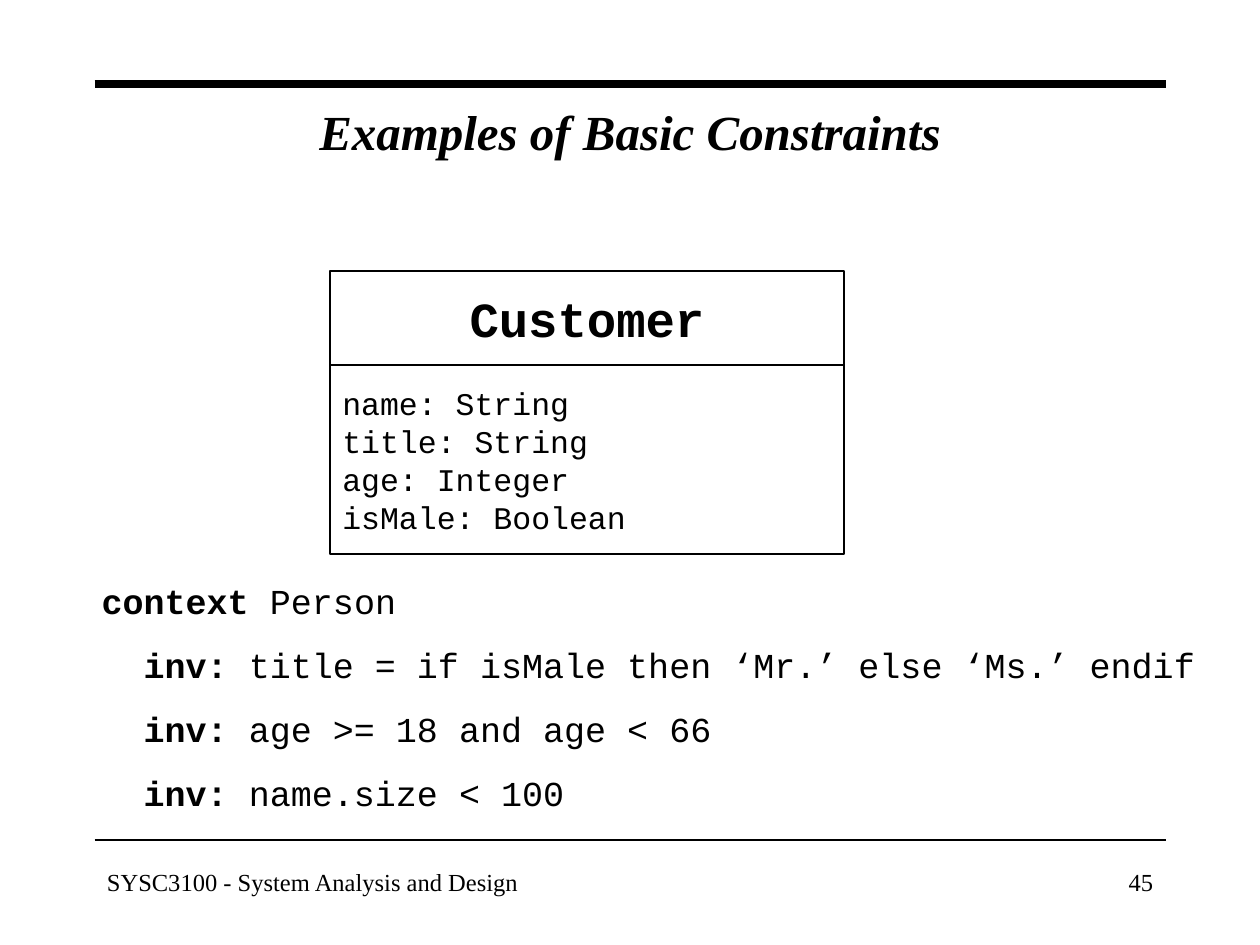
from lxml.etree import SubElement
from pptx import Presentation
from pptx.dml.color import RGBColor
from pptx.enum.shapes import MSO_CONNECTOR, MSO_SHAPE
from pptx.enum.text import MSO_ANCHOR as Anchor, MSO_AUTO_SIZE as AutoSize, PP_ALIGN as Align
from pptx.oxml.ns import qn
from pptx.util import Pt

BLACK = RGBColor(0, 0, 0)
SERIF, MONO = "Times New Roman", "Courier New"
TITLE = "Examples of Basic Constraints"
CLASS_NAME = "Customer"
ATTRIBUTES = ["name: String", "title: String", "age: Integer", "isMale: Boolean"]
CONTEXT = ("context", " Person")
INVARIANTS = [
    "title = if isMale then ‘Mr.’ else ‘Ms.’ endif",
    "age >= 18 and age < 66",
    "name.size < 100",
]


def add_run(paragraph, text, size, font, bold=False, italic=False):
    """Append one black run to the paragraph."""
    run = paragraph.add_run()
    run.text = text
    run.font.size, run.font.name = Pt(size), font
    run.font.bold, run.font.italic = bold, italic
    run.font.color.rgb = BLACK


def add_rule(slide, left, top, width, weight):
    """Draw a horizontal black rule."""
    rule = slide.shapes.add_connector(
        MSO_CONNECTOR.STRAIGHT, Pt(left), Pt(top), Pt(left + width), Pt(top))
    rule.line.color.rgb, rule.line.width = BLACK, Pt(weight)
    SubElement(rule._element.spPr, qn("a:effectLst"))


def add_title(slide, left, top, width, height):
    """Place the slide heading in the title placeholder."""
    title = slide.shapes.title
    title.left, title.top, title.width, title.height = map(Pt, (left, top, width, height))
    frame = title.text_frame
    frame.auto_size, frame.vertical_anchor = AutoSize.NONE, Anchor.MIDDLE
    heading = frame.paragraphs[0]
    heading.alignment = Align.CENTER
    add_run(heading, TITLE, 28, SERIF, bold=True, italic=True)


def add_compartment(slide, left, top, width, height, align, space_before):
    """Draw one outlined class compartment and return its paragraph."""
    compartment = slide.shapes.add_shape(
        MSO_SHAPE.RECTANGLE, Pt(left), Pt(top), Pt(width), Pt(height))
    compartment.shadow.inherit = False
    compartment.fill.background()
    compartment.line.color.rgb, compartment.line.width = BLACK, Pt(1)
    compartment.text_frame.vertical_anchor = Anchor.MIDDLE
    paragraph = compartment.text_frame.paragraphs[0]
    paragraph.alignment, paragraph.space_before = align, Pt(space_before)
    return paragraph


def add_class_diagram(slide, left, top, width, height):
    """Draw the class with its name over its attributes."""
    name_height = height / 3
    name = add_compartment(slide, left, top, width, name_height, Align.CENTER, 17.5)
    add_run(name, CLASS_NAME, 28, MONO, bold=True)
    attributes = add_compartment(
        slide, left, top + name_height, width, height - name_height, Align.LEFT, 11.2)
    for index, attribute in enumerate(ATTRIBUTES):
        if index:
            attributes.add_line_break()
        add_run(attributes, attribute, 18, MONO)


def add_constraints(slide, left, top, width, height):
    """Write the context line and its indented invariants."""
    frame = slide.shapes.add_textbox(Pt(left), Pt(top), Pt(width), Pt(height)).text_frame
    frame.word_wrap, frame.vertical_anchor = False, Anchor.MIDDLE
    context = frame.paragraphs[0]
    context.space_before = Pt(5)
    keyword, subject = CONTEXT
    add_run(context, keyword, 20, MONO, bold=True)
    add_run(context, subject, 20, MONO)
    for condition in INVARIANTS:
        invariant = frame.add_paragraph()
        invariant.space_before = Pt(12.5)
        invariant._p.get_or_add_pPr().set("marL", str(Pt(24)))
        add_run(invariant, "inv:", 20, MONO, bold=True)
        add_run(invariant, f" {condition}", 20, MONO)


def add_footer(slide, left, top, width, height):
    """Write the course name at the left and the page number at the right."""
    page_width = 150
    course_width = width - page_width - 48
    for text, offset, span, align in (
            ("SYSC3100 - System Analysis and Design", 0, course_width, Align.LEFT),
            ("45", width - page_width, page_width, Align.RIGHT)):
        frame = slide.shapes.add_textbox(
            Pt(left + offset), Pt(top), Pt(span), Pt(height)).text_frame
        frame.word_wrap = True
        frame.paragraphs[0].alignment = align
        add_run(frame.paragraphs[0], text, 14, SERIF)


def main():
    """Build and save the slide."""
    deck = Presentation()
    deck.slide_width, deck.slide_height = Pt(720), Pt(540)
    slide = deck.slides.add_slide(deck.slide_layouts[5])
    margin, content_width = 54, 612
    add_rule(slide, margin, 48, content_width, 4.5)
    add_rule(slide, margin, 480, content_width, 1)
    add_title(slide, margin, 48, content_width, 54)
    add_class_diagram(slide, 188.5, 154.8, 293.8, 162)
    add_constraints(slide, 51, 327.5, 639.5, 141)
    add_footer(slide, margin, 492, content_width, 36)
    deck.save("out.pptx")


if __name__ == "__main__":
    main()
